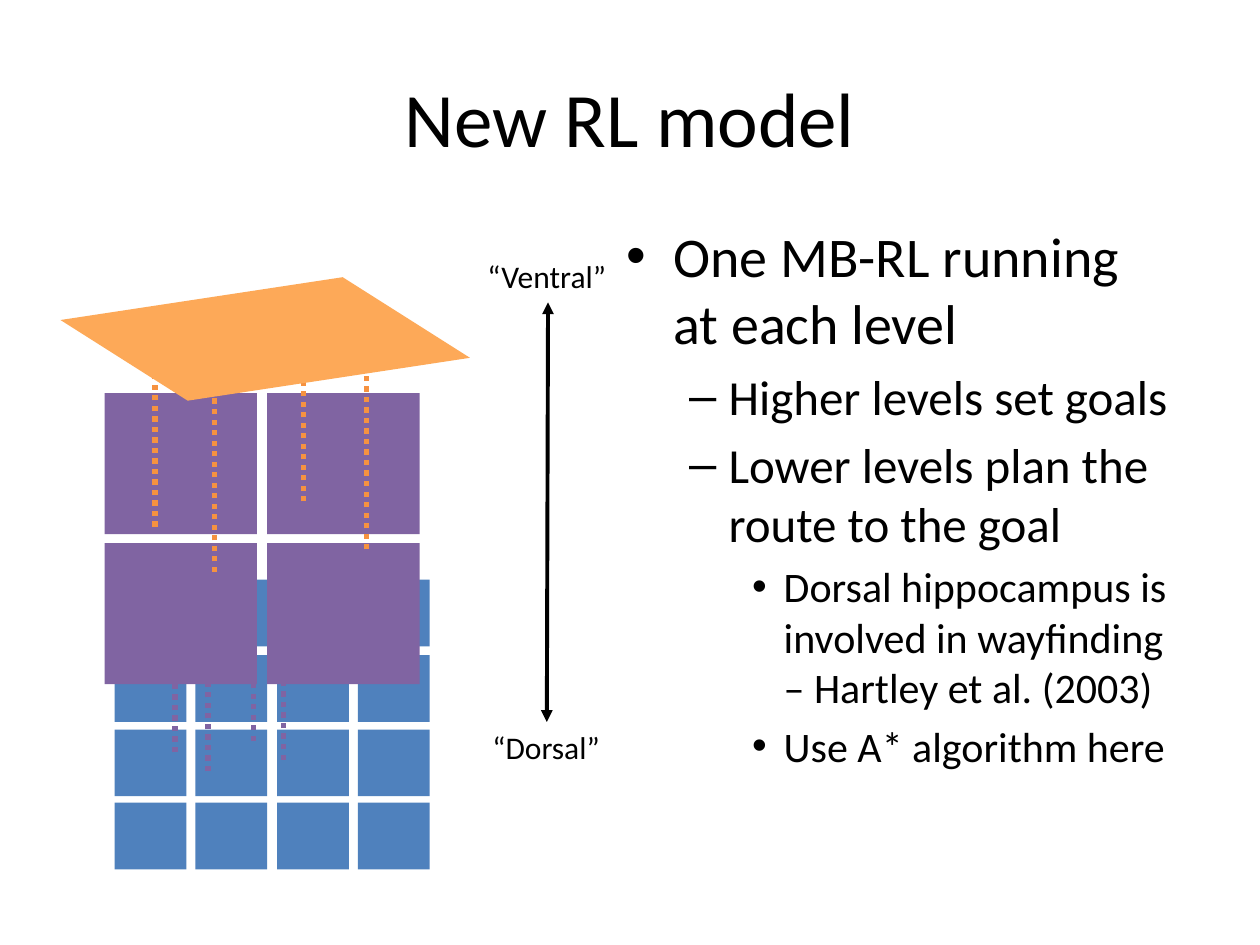
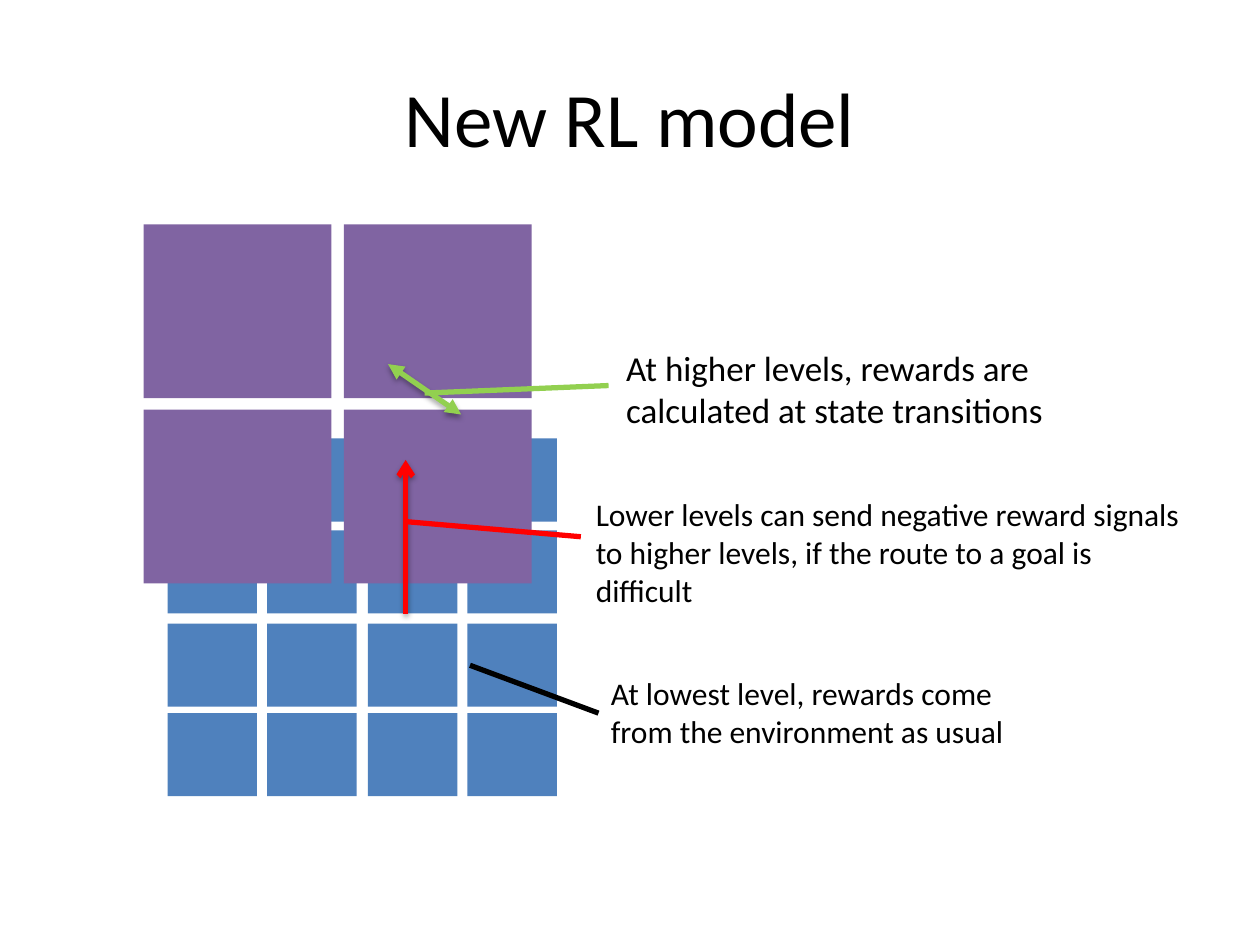
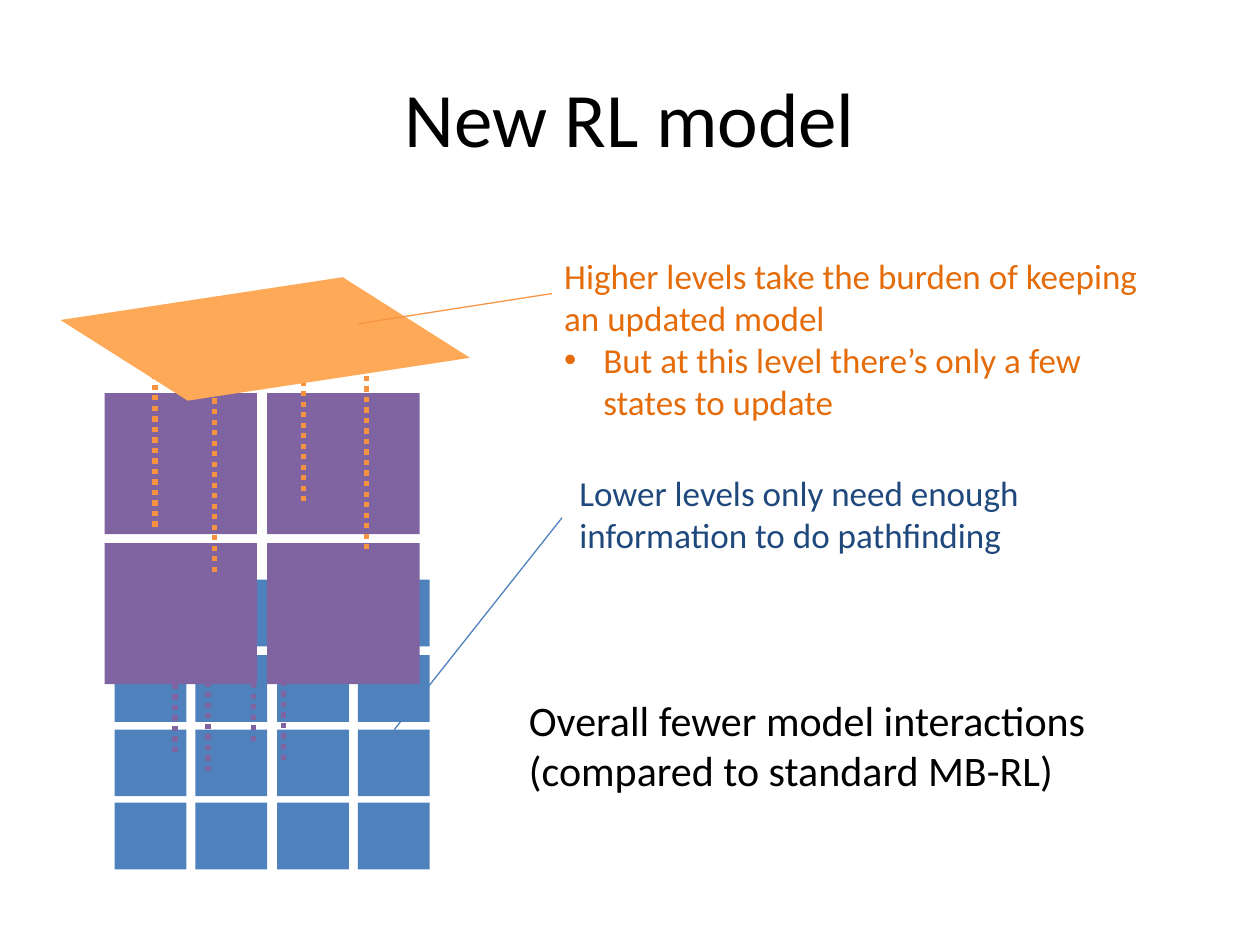
"""Build three slides on a layered reinforcement learning model."""
from lxml import etree
from pptx import Presentation
from pptx.dml.color import RGBColor
from pptx.enum.dml import MSO_LINE
from pptx.enum.shapes import MSO_CONNECTOR, MSO_SHAPE
from pptx.oxml.ns import qn
from pptx.util import Inches, Pt

RECTANGLE = MSO_SHAPE.RECTANGLE
STRAIGHT = MSO_CONNECTOR.STRAIGHT
DOTTED = MSO_LINE.ROUND_DOT
FONT = "Calibri"
COLOURS = {
    "text": "000000",
    "low": "4F81BD",
    "middle": "8064A2",
    "plane": "FDA958",
    "plane dots": "F69240",
    "plane pointer": "F79646",
    "high note": "E46C0A",
    "low note": "1F497D",
    "transition": "92D050",
    "penalty": "FF0000",
}
RGB = {part: RGBColor.from_string(code) for part, code in COLOURS.items()}


def add_grid(slide, lefts, tops, size, part, hidden=()):
    """Add one group of equal squares, leaving out the hidden (row, column) cells."""
    grid = slide.shapes.add_group_shape()
    for row, top in enumerate(tops):
        for column, left in enumerate(lefts):
            if (row, column) in hidden:
                continue
            state = grid.shapes.add_shape(
                RECTANGLE, Inches(left), Inches(top), Inches(size[0]), Inches(size[1]))
            state.shadow.inherit = False
            state.fill.solid()
            state.fill.fore_color.rgb = RGB[part]
            state.line.fill.background()


def add_line(slide, start, end, part, width, dash=None, head=None, tail=None, shadow=False):
    """Add a straight line with optional dots, arrowheads and soft shadow."""
    line = slide.shapes.add_connector(STRAIGHT, *map(Inches, start + end))
    line.line.color.rgb = RGB[part]
    line.line.width = Pt(width)
    if dash:
        line.line.dash_style = dash
    outline = line.line._get_or_add_ln()
    for tag, arrow in (("a:headEnd", head), ("a:tailEnd", tail)):
        if arrow:
            etree.SubElement(outline, qn(tag), type=arrow)
    effects = etree.SubElement(line._element.spPr, qn("a:effectLst"))
    if shadow:
        outer = etree.SubElement(effects, qn("a:outerShdw"), blurRad=str(Pt(3.1)),
                                 dist=str(Pt(1.8)), dir="5400000", rotWithShape="0")
        black = etree.SubElement(outer, qn("a:srgbClr"), val="000000")
        etree.SubElement(black, qn("a:alpha"), val="35000")


prs = Presentation()
prs.slide_width, prs.slide_height = Inches(10), Inches(7.5)
with_list, title_only = prs.slide_layouts[1], prs.slide_layouts[5]
slides = [prs.slides.add_slide(layout) for layout in (with_list, title_only, title_only)]
levels, rewards, savings = slides

for slide in slides:
    title = slide.shapes.title
    title.left, title.top, title.width, title.height = map(Inches, (0.5, 0.3, 9, 1.25))
    run = title.text_frame.paragraphs[0].add_run()
    run.text = "New RL model"
    run.font.name, run.font.size = FONT, Pt(44)
    run.font.color.rgb = RGB["text"]

points = [
    (0, "One MB-RL running at each level"),
    (1, "Higher levels set goals"),
    (1, "Lower levels plan the route to the goal"),
    (2, "Dorsal hippocampus is involved in wayfinding – Hartley et al. (2003)"),
    (2, "Use A* algorithm here"),
]
body = levels.placeholders[1]
body.left, body.top, body.width, body.height = map(Inches, (4.87, 1.71, 4.54, 5.19))
for index, (level, point) in enumerate(points):
    frame = body.text_frame
    paragraph = frame.add_paragraph() if index else frame.paragraphs[0]
    paragraph.level = level
    if index == 0:
        paragraph.space_before = Pt(0)
    run = paragraph.add_run()
    run.text = point
    run.font.name, run.font.size = FONT, Pt(32 - 4 * level)
    run.font.color.rgb = RGB["text"]

covered = {(0, 0), (0, 2)}
middle_dots = [(1.39, 5.97, 4.55), (2.01, 5.88, 4.46), (2.25, 6.03, 4.62), (1.65, 6.12, 4.6)]
plane_dots = [(1.23, 4.18, 2.77), (2.41, 3.98, 2.57), (2.91, 4.36, 2.94), (1.7, 4.54, 3.12)]
plane_corners = [(0.48, 2.54), (2.72, 2.2), (3.73, 2.84), (1.49, 3.18)]
for slide in (levels, savings):
    add_grid(slide, (0.91, 1.55, 2.2, 2.84), (4.6, 5.2, 5.79, 6.37), (0.57, 0.53), "low", covered)
    for x, bottom, top in middle_dots:
        add_line(slide, (x, bottom), (x, top), "middle", 3, DOTTED)
    add_grid(slide, (0.83, 2.12), (3.12, 4.31), (1.21, 1.12), "middle")
    for x, bottom, top in plane_dots:
        add_line(slide, (x, bottom), (x, top), "plane dots", 3, DOTTED)
    corners = [(Inches(x), Inches(y)) for x, y in plane_corners]
    outline = slide.shapes.build_freeform(*corners[0])
    outline.add_line_segments(corners[1:])
    plane = outline.convert_to_shape()
    plane.shadow.inherit = False
    plane.fill.solid()
    plane.fill.fore_color.rgb = RGB["plane"]
    plane.line.fill.background()

add_line(levels, (4.35, 2.4), (4.34, 5.73), "text", 2.25, head="triangle", tail="triangle")

add_grid(rewards, (1.33, 2.12, 2.92, 3.71), (3.48, 4.21, 4.95, 5.66), (0.71, 0.66), "low", covered)
add_grid(rewards, (1.14, 2.73), (1.78, 3.25), (1.49, 1.38), "middle")
add_line(rewards, (3.08, 2.89), (3.66, 3.29), "transition", 3,
         head="triangle", tail="triangle", shadow=True)
add_line(rewards, (3.22, 4.87), (3.22, 3.65), "penalty", 3, tail="arrow", shadow=True)
add_line(rewards, (3.37, 3.12), (4.83, 3.06), "transition", 3)
add_line(rewards, (3.22, 4.14), (4.61, 4.26), "penalty", 3)
add_line(rewards, (3.73, 5.28), (4.75, 5.66), "text", 3)

add_line(savings, (2.84, 2.57), (4.38, 2.33), "plane pointer", 0.75)
add_line(savings, (3.13, 5.79), (4.46, 4.11), "low", 0.75)

notes = [
    (levels, (3.77, 1.99, 1.15, 0.4), 18, "text", False, ["“Ventral”"]),
    (levels, (3.81, 5.73, 1.06, 0.4), 18, "text", False, ["“Dorsal”"]),
    (rewards, (4.75, 5.3, 3.62, 0.71), 18, "text", True,
     ["At lowest level, rewards come from the environment as usual"]),
    (rewards, (4.87, 2.7, 3.62, 0.77), 20, "text", True,
     ["At higher levels, rewards are calculated at state transitions"]),
    (rewards, (4.63, 3.88, 4.88, 1.01), 18, "text", True,
     ["Lower levels can send negative reward signals to higher levels, "
      "if the route to a goal is difficult"]),
    (savings, (4.38, 1.97, 4.96, 1.45), 20, "high note", True,
     ["Higher levels take the burden of keeping an updated model",
      "But at this level there’s only a few states to update"]),
    (savings, (4.5, 3.69, 4.96, 0.77), 20, "low note", True,
     ["Lower levels only need enough information to do pathfinding"]),
    (savings, (4.1, 5.46, 5.37, 0.91), 24, "text", True,
     ["Overall fewer model interactions (compared to standard MB-RL)"]),
]
for slide, place, size, part, wraps, sentences in notes:
    frame = slide.shapes.add_textbox(*map(Inches, place)).text_frame
    frame.word_wrap = wraps
    for index, sentence in enumerate(sentences):
        paragraph = frame.add_paragraph() if index else frame.paragraphs[0]
        if index:
            properties = paragraph._p.get_or_add_pPr()
            properties.set("marL", str(Inches(0.31)))
            properties.set("indent", str(Inches(-0.31)))
            etree.SubElement(properties, qn("a:buFont"), typeface="Arial")
            etree.SubElement(properties, qn("a:buChar"), char="•")
        run = paragraph.add_run()
        run.text = sentence
        run.font.name, run.font.size = FONT, Pt(size)
        run.font.color.rgb = RGB[part]

prs.save("out.pptx")
